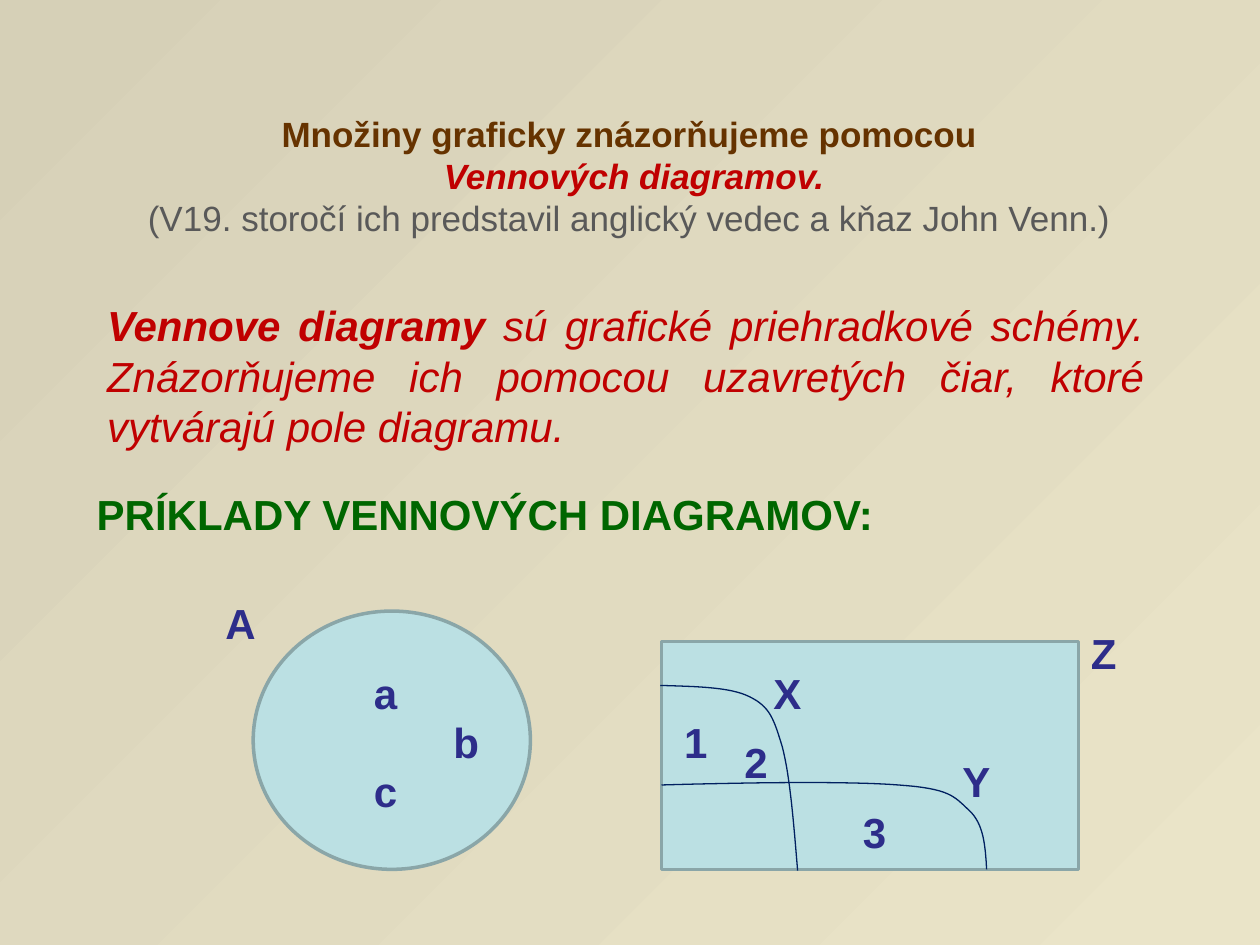
from lxml import etree
from pptx import Presentation
from pptx.dml.color import RGBColor
from pptx.enum import shapes, text
from pptx.oxml.ns import qn
from pptx.util import Pt

FONT = "Arial"
RED, NAVY, GREEN, INDIGO = "C00000", "002060", "006600", "2D2D8A"
CURVE_STEPS = 16

# Label text with the left and top of its box
CIRCLE_LABELS = [("a", 206.6, 378), ("b", 252, 406), ("c", 206.6, 434),
                 ("A", 121.7, 337.7)]
FIELD_LABELS = [("X", 434.9, 378), ("Y", 542.9, 428.4), ("1", 383.8, 406),
                ("2", 418.3, 417.6), ("3", 486, 457.2), ("Z", 616.3, 355)]

# Cubic curves: a start, then two controls and an end for each segment
X_BORDER = [(377.3, 391.7), (396.7, 392.4), (416.9, 392.4), (428.4, 398.2),
            (439.9, 403.9), (442.1, 410.4), (447.1, 427),
            (451.4, 443.5), (453.6, 470.2), (455.8, 497.5)]
Y_BORDER = [(378, 448.6), (431.3, 447.1), (483.8, 446.4), (513.4, 448.6),
            (542.9, 450.7), (545, 455), (553.7, 463),
            (562.3, 470.9), (563, 483.8), (563.8, 496.8)]


def rgb(value):
    return RGBColor.from_string(value)


def place(shape, left, top, width, height):
    shape.left, shape.top = Pt(left), Pt(top)
    shape.width, shape.height = Pt(width), Pt(height)


def add_run(paragraph, words, size, color, bold=False, italic=False):
    run = paragraph.add_run()
    run.text = words
    font = run.font
    font.name, font.size = FONT, Pt(size)
    font.bold, font.italic = bold, italic
    font.color.rgb = rgb(color)


def paint_background(slide):
    fill = slide.background.fill
    fill.gradient()
    fill.gradient_angle = 315
    for stop, color in zip(fill.gradient_stops, ("D6D0B7", "EAE4C8")):
        stop.color.rgb = rgb(color)


def fill_title(title):
    place(title, 70.6, 60.5, 578, 80)
    frame = title.text_frame
    frame.auto_size = text.MSO_AUTO_SIZE.NONE
    lines = [
        [("Množiny graficky znázorňujeme pomocou", "663300", True, False)],
        [(" ", "663300", True, False),
         ("Vennových diagramov.", RED, True, True)],
        [("(V19.\u00a0storočí ich predstavil anglický vedec a kňaz John Venn.)",
          "595959", False, False)],
    ]
    for index, line in enumerate(lines):
        paragraph = frame.paragraphs[0] if index == 0 else frame.add_paragraph()
        paragraph.alignment = text.PP_ALIGN.CENTER
        for words, color, bold, italic in line:
            add_run(paragraph, words, 20, color, bold, italic)


def fill_definition(body):
    place(body, 54, 167.8, 607, 94.3)
    body.text_frame.auto_size = text.MSO_AUTO_SIZE.NONE
    paragraph = body.text_frame.paragraphs[0]
    paragraph.alignment = text.PP_ALIGN.JUSTIFY
    paragraph.space_before = Pt(0)
    # Plain text: no bullet, no hanging indent
    properties = paragraph._p.get_or_add_pPr()
    properties.set("marL", "0")
    properties.set("indent", "0")
    etree.SubElement(properties, qn("a:buNone"))
    add_run(paragraph, "Vennove diagramy", 24, RED, True, True)
    add_run(paragraph, " sú grafické priehradkové schémy. Znázorňujeme ich "
            "pomocou uzavretých čiar, ktoré vytvárajú pole diagramu.",
            24, RED, italic=True)


def add_label(parent, words, left, top, width=36, color=INDIGO):
    label = parent.shapes.add_textbox(Pt(left), Pt(top), Pt(width), Pt(36))
    label.text_frame.word_wrap = True
    add_run(label.text_frame.paragraphs[0], words, 24, color, bold=True)


def add_region(parent, kind, left, top, width, height):
    region = parent.shapes.add_shape(
        kind, Pt(left), Pt(top), Pt(width), Pt(height))
    region.shadow.inherit = False
    region.fill.solid()
    region.fill.fore_color.rgb = rgb("BBE0E3")
    region.line.color.rgb = rgb("8AA6A8")
    region.line.width = Pt(2)


def curve_points(knots):
    for first in range(0, len(knots) - 1, 3):
        p0, p1, p2, p3 = knots[first:first + 4]
        for step in range(1, CURVE_STEPS + 1):
            t = step / CURVE_STEPS
            s = 1 - t
            yield tuple(
                Pt(s**3 * a + 3 * s**2 * t * b + 3 * s * t**2 * c + t**3 * d)
                for a, b, c, d in zip(p0, p1, p2, p3))


def add_border(parent, knots):
    start_x, start_y = knots[0]
    builder = parent.shapes.build_freeform(Pt(start_x), Pt(start_y))
    builder.add_line_segments(list(curve_points(knots)), close=False)
    border = builder.convert_to_shape()
    border.shadow.inherit = False
    border.fill.background()
    border.line.color.rgb = rgb(NAVY)
    border.line.width = Pt(0.75)


def add_circle_diagram(slide):
    diagram = slide.shapes.add_group_shape()
    add_region(diagram, shapes.MSO_SHAPE.OVAL, 144.7, 349.2, 158.4, 147.6)
    for label in CIRCLE_LABELS:
        add_label(diagram, *label)


def add_field_diagram(slide):
    diagram = slide.shapes.add_group_shape()
    add_region(diagram, shapes.MSO_SHAPE.RECTANGLE, 378, 366.5, 238.3, 130.3)
    for knots in (X_BORDER, Y_BORDER):
        add_border(diagram, knots)
    for label in FIELD_LABELS:
        add_label(diagram, *label)


def main():
    deck = Presentation()
    deck.slide_width, deck.slide_height = Pt(720), Pt(540)
    slide = deck.slides.add_slide(deck.slide_layouts[1])
    paint_background(slide)

    # Introduction and definition
    fill_title(slide.shapes.title)
    fill_definition(slide.placeholders[1])

    # Examples
    add_circle_diagram(slide)
    add_label(slide, "PRÍKLADY VENNOVÝCH DIAGRAMOV:", 48.2, 275.8, 500, GREEN)
    add_field_diagram(slide)
    deck.save("out.pptx")


if __name__ == "__main__":
    main()
